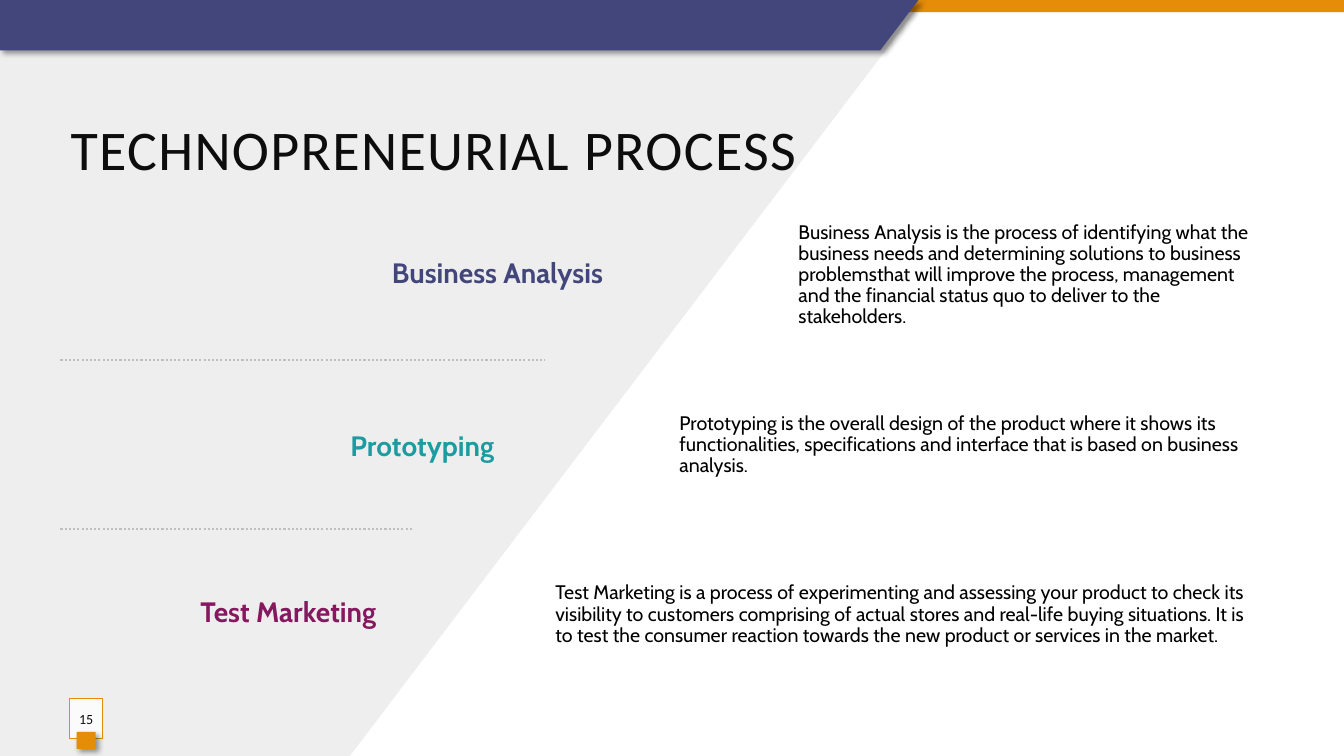
from lxml import etree
from pptx import Presentation
from pptx.dml.color import RGBColor
from pptx.enum.dml import MSO_LINE
from pptx.enum.shapes import MSO_CONNECTOR, MSO_SHAPE
from pptx.enum.text import MSO_ANCHOR, PP_ALIGN
from pptx.oxml import parse_xml
from pptx.oxml.ns import nsdecls, qn
from pptx.util import Inches, Pt

RECT, STRAIGHT = MSO_SHAPE.RECTANGLE, MSO_CONNECTOR.STRAIGHT
DOTTED, MIDDLE = MSO_LINE.ROUND_DOT, MSO_ANCHOR.MIDDLE
LEFT, CENTER, RIGHT = PP_ALIGN.LEFT, PP_ALIGN.CENTER, PP_ALIGN.RIGHT

NAVY = RGBColor(0x43, 0x46, 0x7B)
TEAL = RGBColor(0x1D, 0x9B, 0xA1)
PLUM = RGBColor(0x87, 0x17, 0x5F)
ORANGE = RGBColor(0xE5, 0x8C, 0x09)
PALE = RGBColor(0xEE, 0xEE, 0xEE)
GREY = RGBColor(0xBF, 0xBF, 0xBF)
WHITE = RGBColor(0xFF, 0xFF, 0xFF)
BLACK = RGBColor(0x00, 0x00, 0x00)
INK = RGBColor(0x0D, 0x0D, 0x0D)

SLIDE_W, SLIDE_H = 13.33, 7.5
MARGIN = 0.6
SLANT_X = 9.11
TEXT_RIGHT = 12.54
ROW_TOP, ROW_STEP, ROW_H = 2.23, 1.685, 1.0
LABEL_H = 0.46

# label, colour, label (left, top, width), description left, description
STEPS = [
    ("Business Analysis", NAVY, (0.68, 2.49, 5.4), 7.82,
     "Business Analysis is the process of identifying what the business needs "
     "and determining solutions to business problemsthat will improve the "
     "process, management and the financial status quo to deliver to the "
     "stakeholders."),
    ("Prototyping", TEAL, (MARGIN, 4.21, 4.4), 6.64,
     "Prototyping is the overall design of the product where it shows its "
     "functionalities, specifications and interface that is based on business "
     "analysis."),
    ("Test Marketing", PLUM, (MARGIN, 5.86, 3.23), 5.41,
     "Test Marketing is a process of experimenting and assessing your product "
     "to check its visibility to customers comprising of actual stores and "
     "real-life buying situations. It is to test the consumer reaction towards "
     "the new product or services in the market."),
]
DIVIDERS = [(3.57, 5.4), (5.25, 4.1)]  # height on the slide, right end


def write(sp, text, size, color, font="Cabin", bold=False, align=LEFT,
          line_spacing=None):
    tf = sp.text_frame
    tf.word_wrap = True
    tf.vertical_anchor = MIDDLE
    p = tf.paragraphs[0]
    p.alignment = align
    p.line_spacing = line_spacing
    r = p.add_run()
    r.text = text
    r.font.name = font
    r.font.size = Pt(size)
    r.font.bold = bold
    r.font.color.rgb = color
    return r


def paint(sp, fill, shadow=False):
    sp.fill.solid()
    sp.fill.fore_color.rgb = fill
    sp.line.fill.background()
    sp.shadow.inherit = False
    if shadow:
        effects = sp._element.spPr.find(qn("a:effectLst"))
        effects.append(parse_xml(
            f'<a:outerShdw {nsdecls("a")} blurRad="50800" dist="38100" '
            'dir="2700000" algn="tl" rotWithShape="0"><a:srgbClr val="000000">'
            '<a:alpha val="40000"/></a:srgbClr></a:outerShdw>'))


def add_rect(slide, left, top, width, height, fill, shadow=False):
    sp = slide.shapes.add_shape(
        RECT, *map(Inches, (left, top, width, height)))
    paint(sp, fill, shadow)
    return sp


def add_polygon(slide, points, fill, shadow=False):
    start, *rest = [(Inches(x), Inches(y)) for x, y in points]
    builder = slide.shapes.build_freeform(*start)
    builder.add_line_segments(rest, close=True)
    paint(builder.convert_to_shape(), fill, shadow)


def add_text(slide, left, top, width, height, text, size, color, **fmt):
    sp = slide.shapes.add_textbox(*map(Inches, (left, top, width, height)))
    write(sp, text, size, color, line_spacing=0.9, **fmt)


def add_divider(slide, y, right):
    line = slide.shapes.add_connector(
        STRAIGHT, Inches(MARGIN), Inches(y), Inches(right), Inches(y))
    line.line.color.rgb = GREY
    line.line.width = Pt(1.5)
    line.line.dash_style = DOTTED
    etree.SubElement(line._element.spPr, qn("a:effectLst"))


def add_background(slide):
    add_polygon(slide, [(0, 0), (SLANT_X, 0), (SLANT_X, 0.07),
                        (3.47, SLIDE_H), (0, SLIDE_H)], PALE)
    add_rect(slide, 0, 0, SLIDE_W, 0.12, ORANGE)
    add_polygon(slide, [(0, 0), (SLANT_X, 0), (8.73, 0.5), (0, 0.5)],
                NAVY, shadow=True)


def add_title(slide, text):
    """Format the title placeholder and bring it in front of the background."""
    title = slide.shapes.title
    title.left, title.top, title.width, title.height = map(
        Inches, (MARGIN, 1.08, 11.82, 0.77))
    r = write(title, text, 40, INK, font="Calibri")
    r.font._element.set("spc", "100")
    slide.shapes._spTree.append(title._element)


def add_page_number(slide, number):
    sp = add_rect(slide, 0.69, 6.93, 0.33, 0.4, WHITE)
    color = sp._element.spPr.find(qn("a:solidFill"))[0]
    etree.SubElement(color, qn("a:alpha")).set("val", "82000")
    sp.line.color.rgb = ORANGE
    sp.line.width = Pt(0.75)
    sp.text_frame.margin_left = sp.text_frame.margin_right = 0
    write(sp, number, 10, INK, font="Calibri", align=CENTER)
    add_rect(slide, 0.76, 7.26, 0.19, 0.17, ORANGE, shadow=True)


def main():
    prs = Presentation()
    prs.slide_width, prs.slide_height = Inches(SLIDE_W), Inches(SLIDE_H)
    slide = prs.slides.add_slide(prs.slide_layouts.get_by_name("Title Only"))
    add_background(slide)
    add_title(slide, "TECHNOPRENEURIAL PROCESS")
    for i, (label, color, (left, top, width), text_left, text) in enumerate(STEPS):
        add_text(slide, left, top, width, LABEL_H, label, 20, color,
                 bold=True, align=RIGHT)
        add_text(slide, text_left, ROW_TOP + i * ROW_STEP,
                 TEXT_RIGHT - text_left, ROW_H, text, 14, BLACK)
    for y, right in DIVIDERS:
        add_divider(slide, y, right)
    add_page_number(slide, "15")
    prs.save("out.pptx")


if __name__ == "__main__":
    main()
